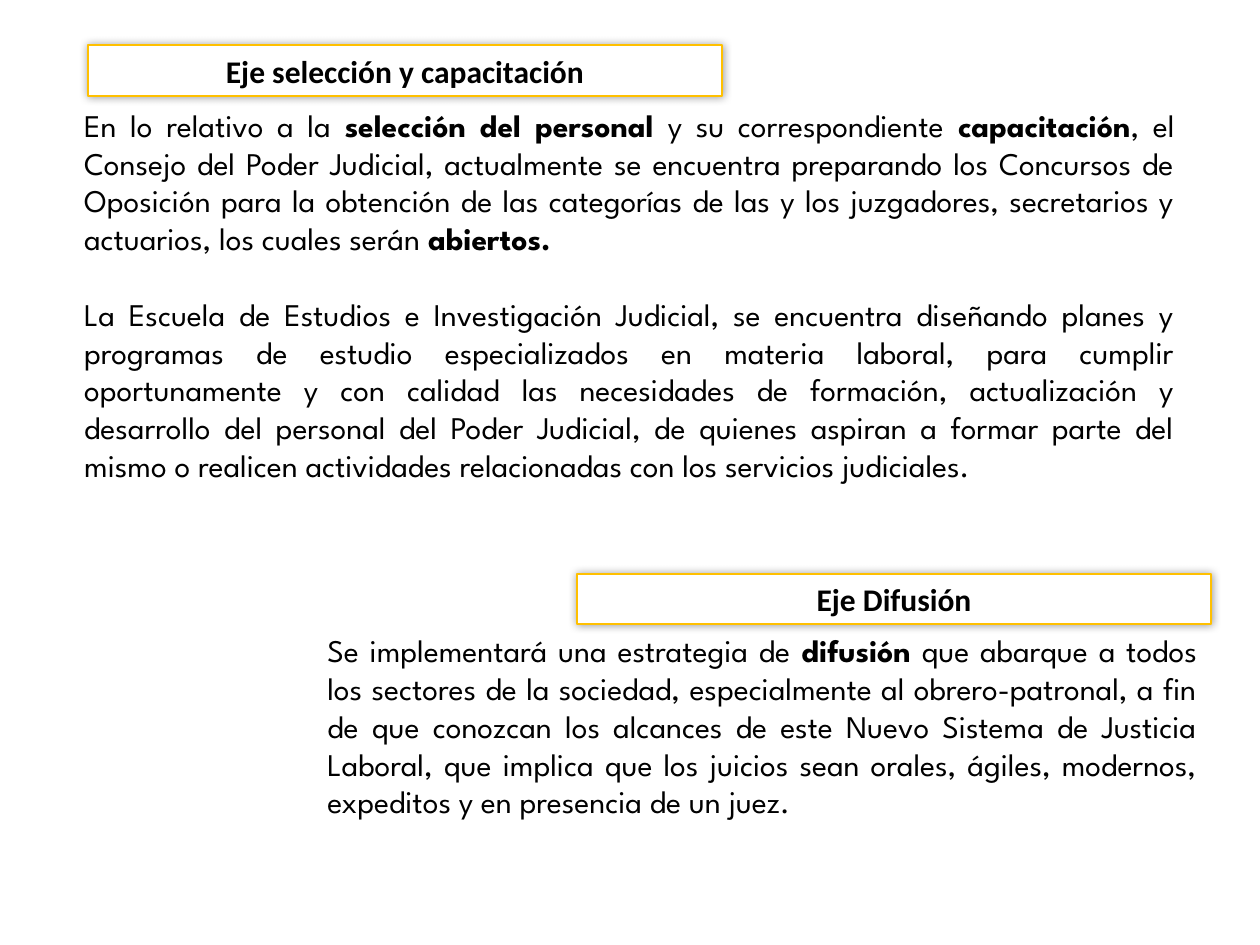
from lxml.etree import SubElement
from pptx import Presentation
from pptx.dml.color import RGBColor
from pptx.enum.shapes import MSO_SHAPE
from pptx.enum.text import MSO_ANCHOR, PP_ALIGN
from pptx.oxml.ns import qn
from pptx.util import Pt

BODY = {"name": "League Spartan", "size": Pt(18), "bold": False}
STRONG = {**BODY, "bold": True}
HEAD = {"name": "Calibri", "size": Pt(18), "bold": True}

TRAINING = [
    [("En lo relativo a la ", BODY),
     ("selección del personal ", STRONG),
     ("y su correspondiente", BODY),
     (" capacitación", STRONG),
     (", el Consejo del Poder Judicial, actualmente se encuentra preparando "
      "los Concursos de Oposición para la obtención de las categorías de las "
      "y los juzgadores, secretarios y actuarios, los cuales serán ", BODY),
     ("abiertos.", STRONG)],
    [("La Escuela de Estudios e Investigación Judicial, se encuentra "
      "diseñando planes y programas de estudio especializados en materia "
      "laboral, para cumplir oportunamente y con calidad las necesidades de "
      "formación, actualización y desarrollo del personal del Poder Judicial, "
      "de quienes aspiran a formar parte del mismo o realicen actividades "
      "relacionadas con los servicios judiciales.", BODY)],
]
OUTREACH = [
    [("Se implementará una estrategia de ", BODY),
     ("difusión", STRONG),
     (" que abarque a todos los sectores de la sociedad, especialmente al "
      "obrero-patronal, a fin de que conozcan los alcances de este Nuevo "
      "Sistema de Justicia Laboral, que implica que los juicios sean orales, "
      "ágiles, modernos, expeditos y en presencia de un juez.", BODY)],
]


def color(code):
    return RGBColor.from_string(code)


def add_run(para, text, style):
    run = para.add_run()
    run.text = text
    for key, value in style.items():
        setattr(run.font, key, value)
    run.font.color.rgb = color("000000")


def add_glow(shape):
    shape.shadow.inherit = False
    effects = shape._element.spPr.find(qn("a:effectLst"))
    shadow = SubElement(effects, qn("a:outerShdw"), blurRad=str(Pt(5)),
                        dist="0", dir="0", algn="ctr", rotWithShape="0")
    tint = SubElement(shadow, qn("a:srgbClr"), val="000000")
    SubElement(tint, qn("a:alpha"), val="40000")


def add_banner(slide, box, text):
    banner = slide.shapes.add_shape(MSO_SHAPE.RECTANGLE, *map(Pt, box))
    banner.fill.solid()
    banner.fill.fore_color.rgb = color("FFFFFF")
    banner.line.color.rgb = color("FFC000")
    banner.line.width = Pt(1)
    add_glow(banner)
    frame = banner.text_frame
    frame.word_wrap = True
    frame.vertical_anchor = MSO_ANCHOR.MIDDLE
    para = frame.paragraphs[0]
    para.alignment = PP_ALIGN.CENTER
    add_run(para, text, HEAD)


def add_body(slide, box, paras):
    frame = slide.shapes.add_textbox(*map(Pt, box)).text_frame
    frame.word_wrap = True
    for index, runs in enumerate(paras):
        para = frame.add_paragraph() if index else frame.paragraphs[0]
        para.alignment = PP_ALIGN.JUSTIFY
        para.space_before = Pt(21.6 if index else 0)
        for text, style in runs:
            add_run(para, text, style)


def main():
    deck = Presentation()
    deck.slide_width, deck.slide_height = Pt(720), Pt(540)
    slide = deck.slides.add_slide(deck.slide_layouts[6])
    add_body(slide, (41, 56.9, 637.2, 290.9), TRAINING)
    add_body(slide, (180, 357.1, 511.2, 138.2), OUTREACH)
    add_banner(slide, (50.4, 25.9, 362.2, 29), "Eje selección y capacitación")
    add_banner(slide, (329.8, 327.8, 362.2, 29), "Eje Difusión")
    deck.save("out.pptx")


if __name__ == "__main__":
    main()
